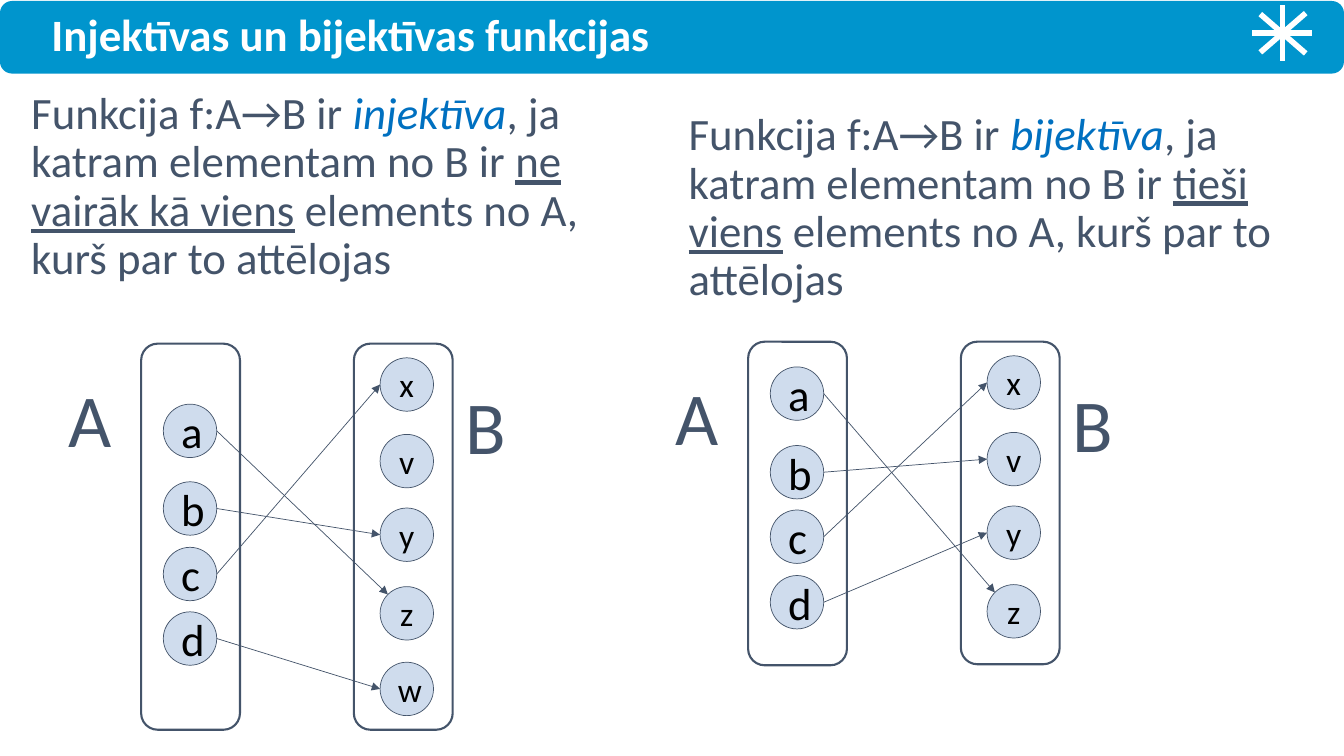
from math import sqrt

from lxml import etree
from pptx import Presentation
from pptx.dml.color import RGBColor
from pptx.enum.shapes import MSO_CONNECTOR, MSO_SHAPE
from pptx.enum.text import MSO_ANCHOR, MSO_AUTO_SIZE, PP_ALIGN
from pptx.oxml.ns import qn
from pptx.util import Inches, Pt

# Colours
WHITE = RGBColor(0xFF, 0xFF, 0xFF)
BLACK = RGBColor(0x00, 0x00, 0x00)
BANNER = RGBColor(0x00, 0x95, 0xCD)
SLATE = RGBColor(0x44, 0x54, 0x6A)
ACCENT = RGBColor(0x00, 0x70, 0xC0)
NODE = RGBColor(0x4F, 0x81, 0xBD)

# Content
TITLE = "Injektīvas un bijektīvas funkcijas"
TITLE_BOX = (0.51, 0.09, 11.1, 0.56)
PLAIN = {"size": Pt(32), "name": "Calibri"}
TERM = {**PLAIN, "italic": True}
KEY = {**PLAIN, "underline": True}

DEFINITIONS = [
    ((0.31, 0.9, 5.99, 2.01), "injektīva", "ne vairāk kā viens"),
    ((6.83, 1.11, 5.99, 5.37), "bijektīva", "tieši viens"),
]

# Node tops are measured from the top of the frames
TARGETS = {"x": 0.14, "v": 0.9, "y": 1.63, "z": 2.41}
DIAGRAMS = [
    {
        "origin": (1.4, 3.41),
        "heights": (3.83, 3.83),
        "A": {"a": 0.6, "b": 1.37, "c": 2.02, "d": 2.66},
        "B": {**TARGETS, "w": 3.16},
        "map": {"a": "z", "b": "y", "c": "x", "d": "w"},
    },
    {
        "origin": (7.42, 3.39),
        "heights": (3.21, 3.2),
        "A": {"a": 0.25, "b": 1.03, "c": 1.67, "d": 2.32},
        "B": TARGETS,
        "map": {"a": "z", "b": "v", "c": "x", "d": "y"},
    },
]
STAR = [
    (12.72, 0.05, 12.72, 0.61),
    (12.42, 0.33, 13.01, 0.33),
    (12.5, 0.14, 12.95, 0.53),
    (12.95, 0.13, 12.5, 0.52),
]

# Diagram measures
FRAME_W = 0.98
FRAME_X = (0, 2.11)
NODE_X = {"A": 0.22, "B": 2.37}
NODE_SIZE = {"A": 32, "B": 24}
NODE_D = 0.53
LABELS = {"A": (-0.82, 0.24), "B": (3.12, 0.31)}

prs = Presentation()
prs.slide_width, prs.slide_height = Inches(13.33), Inches(7.5)
slide = prs.slides.add_slide(prs.slide_layouts[3])


def add_run(p, text, color, fmt):
    r = p.add_run()
    r.text = text
    for name, value in fmt.items():
        setattr(r.font, name, value)
    r.font.color.rgb = color


def add_shape(kind, box, fill=None, line=None, width=1):
    s = slide.shapes.add_shape(kind, *map(Inches, box))
    s.shadow.inherit = False
    if fill is None:
        s.fill.background()
    else:
        s.fill.solid()
        s.fill.fore_color.rgb = fill
    if line is None:
        s.line.fill.background()
    else:
        s.line.color.rgb = line
        s.line.width = Pt(width)
    return s


def add_line(ends, color, width, arrow=False):
    c = slide.shapes.add_connector(MSO_CONNECTOR.STRAIGHT, *map(Inches, ends))
    c.line.color.rgb = color
    c.line.width = Pt(width)
    if arrow:
        etree.SubElement(c.line._get_or_add_ln(), qn("a:tailEnd"), type="triangle")
    etree.SubElement(c._element.spPr, qn("a:effectLst"))


def fill_placeholder(sp, box, anchor, runs, space_before):
    sp.left, sp.top, sp.width, sp.height = map(Inches, box)
    tf = sp.text_frame
    tf.word_wrap = True
    tf.auto_size = MSO_AUTO_SIZE.NONE
    tf.vertical_anchor = anchor
    for side in ("left", "top", "right", "bottom"):
        setattr(tf, f"margin_{side}", 0)
    p = tf.paragraphs[0]
    p.alignment = PP_ALIGN.LEFT
    p.line_spacing = 0.9
    p.space_before = Pt(space_before)
    pPr = p._p.get_or_add_pPr()
    pPr.set("marL", "0")
    pPr.set("indent", "0")
    etree.SubElement(pPr, qn("a:buNone"))
    for run in runs:
        add_run(p, *run)


def add_node(letter, x, y, size):
    s = add_shape(MSO_SHAPE.FLOWCHART_CONNECTOR, (x, y, NODE_D, NODE_D), NODE, SLATE, 0.5)
    tint = s._element.spPr.find(qn("a:solidFill")).find(qn("a:srgbClr"))
    etree.SubElement(tint, qn("a:alpha"), val="27000")
    s.text_frame.vertical_anchor = MSO_ANCHOR.MIDDLE
    p = s.text_frame.paragraphs[0]
    p.alignment = PP_ALIGN.CENTER
    add_run(p, letter, BLACK, {**PLAIN, "size": Pt(size)})


def add_diagram(d):
    x0, y0 = d["origin"]
    # Nodes and set names
    for side, (dx, dy) in LABELS.items():
        for letter, top in d[side].items():
            add_node(letter, x0 + NODE_X[side], y0 + top, NODE_SIZE[side])
        box = (x0 + dx, y0 + dy, 0.57, 1)
        tf = slide.shapes.add_textbox(*map(Inches, box)).text_frame
        tf.word_wrap = True
        tf.auto_size = MSO_AUTO_SIZE.SHAPE_TO_FIT_TEXT
        add_run(tf.paragraphs[0], side, SLATE, {**PLAIN, "size": Pt(53.3)})
    # Arrows: the one to z meets the upper left of its circle
    radius = NODE_D / 2
    corner = radius * (1 - sqrt(0.5))
    for source, target in d["map"].items():
        dx, dy = (corner, corner) if target == "z" else (0, radius)
        start = (x0 + NODE_X["A"] + NODE_D, y0 + d["A"][source] + radius)
        end = (x0 + NODE_X["B"] + dx, y0 + d["B"][target] + dy)
        add_line(start + end, SLATE, 0.5, arrow=True)
    # Frames
    for dx, height in zip(FRAME_X, d["heights"]):
        add_shape(MSO_SHAPE.ROUNDED_RECTANGLE, (x0 + dx, y0, FRAME_W, height),
                  line=SLATE, width=1.5)


# Banner behind the title, with its star
banner = add_shape(MSO_SHAPE.ROUNDED_RECTANGLE, (0, 0.01, 13.33, 0.72), BANNER)
slide.shapes._spTree.insert(2, banner._element)
for ends in STAR:
    add_line(ends, WHITE, 4)

# Title and definitions
title, *bodies = slide.placeholders
fill_placeholder(title, TITLE_BOX, MSO_ANCHOR.MIDDLE,
                 [(TITLE, WHITE, {**PLAIN, "bold": True})], 0)
for sp, (box, term, key) in zip(bodies, DEFINITIONS):
    runs = [
        ("Funkcija f:A→B ir ", SLATE, PLAIN),
        (term, ACCENT, TERM),
        (", ja katram elementam no B ir ", SLATE, PLAIN),
        (key, SLATE, KEY),
        (" elements no A, kurš par to attēlojas", SLATE, PLAIN),
    ]
    fill_placeholder(sp, box, MSO_ANCHOR.TOP, runs, 10)

# Mapping diagrams
for diagram in DIAGRAMS:
    add_diagram(diagram)

prs.save("out.pptx")
